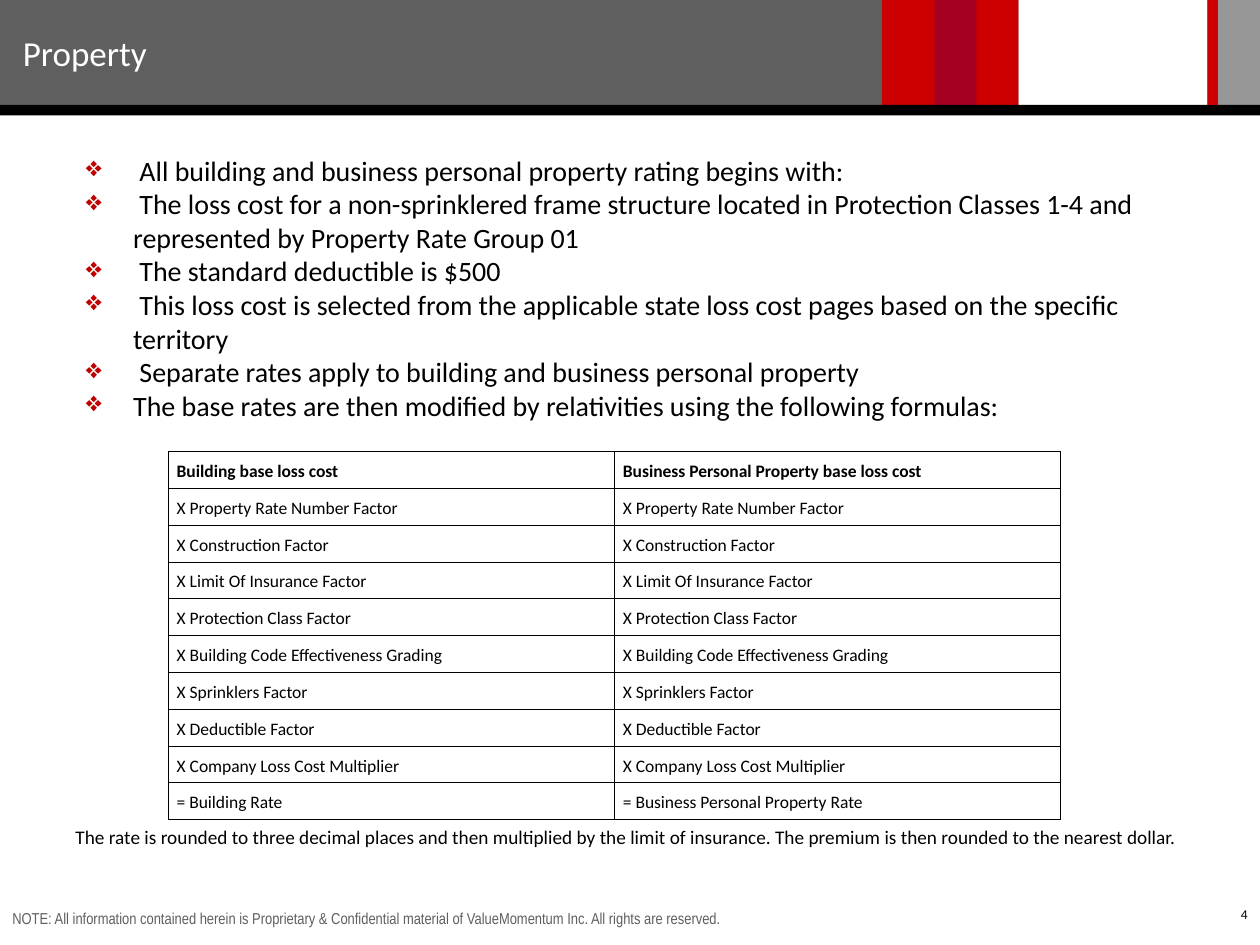
from lxml.etree import SubElement
from pptx import Presentation
from pptx.dml.color import RGBColor
from pptx.enum.shapes import MSO_SHAPE
from pptx.enum.text import MSO_ANCHOR, PP_ALIGN
from pptx.oxml.ns import qn
from pptx.util import Pt

COLORS = {
    "black": "000000", "white": "FFFFFF", "slate": "5F5F5F", "gray": "969696",
    "red": "CC0000", "crimson": "A50021", "bullet": "C00000",
}
POINTS = [
    " All building and business personal property rating begins with:",
    " The loss cost for a non-sprinklered frame structure located in Protection "
    "Classes 1-4 and represented by Property Rate Group 01",
    " The standard deductible is $500",
    " This loss cost is selected from the applicable state loss cost pages based "
    "on the specific territory",
    " Separate rates apply to building and business personal property",
    "The base rates are then modified by relativities using the following formulas:",
]
FACTORS = [
    "Property Rate Number Factor", "Construction Factor", "Limit Of Insurance Factor",
    "Protection Class Factor", "Building Code Effectiveness Grading",
    "Sprinklers Factor", "Deductible Factor", "Company Loss Cost Multiplier",
]
FORMULAS = [
    ("Building base loss cost", "Business Personal Property base loss cost"),
    *[(f"X {factor}", f"X {factor}") for factor in FACTORS],
    ("= Building Rate", "= Business Personal Property Rate"),
]


def color(name):
    return RGBColor.from_string(COLORS[name])


def style(para, size, name="black", face="Calibri", bold=False):
    for span in para.runs:
        span.font.size = Pt(size)
        span.font.name = face
        span.font.bold = bold
        span.font.color.rgb = color(name)


def add_text(page, left, top, width, height, text, size, name="black", face="Calibri"):
    box = page.shapes.add_textbox(Pt(left), Pt(top), Pt(width), Pt(height))
    frame = box.text_frame
    frame.word_wrap = True
    frame.text = text
    for para in frame.paragraphs:
        style(para, size, name, face)
    return frame


def add_header(page, left, top, width, height):
    bar_height = height - 6
    # Bars from back to front: offset, drop, width, height, fill
    bars = [
        (0, 0, 582, bar_height, "slate"),
        (504, 0, 78, bar_height, "red"),
        (690, 0, 30, bar_height, "gray"),
        (534, 0, 24, bar_height, "crimson"),
        (0, bar_height, width, 6, "black"),
        (690, 0, 6, bar_height, "red"),
    ]
    for offset, drop, bar_width, tall, fill in bars:
        bar = page.shapes.add_shape(MSO_SHAPE.RECTANGLE, Pt(left + offset),
                                    Pt(top + drop), Pt(bar_width), Pt(tall))
        bar.shadow.inherit = False
        bar.fill.solid()
        bar.fill.fore_color.rgb = color(fill)
        bar.line.fill.background()
    # Title
    title = add_text(page, left + 6, top + 14.4, 462, 31.5, "Property", 20, "white")
    title.vertical_anchor = MSO_ANCHOR.MIDDLE


def add_bullets(page, left, top, width, height):
    frame = add_text(page, left, top, width, height, "\n".join(POINTS), 16)
    for para in frame.paragraphs:
        properties = para._p.get_or_add_pPr()
        properties.set("marL", str(Pt(27)))
        properties.set("indent", str(Pt(-27)))
        bullet_color = SubElement(properties, qn("a:buClr"))
        SubElement(bullet_color, qn("a:srgbClr"), val=COLORS["bullet"])
        SubElement(properties, qn("a:buChar"), char="❖")


def add_borders(cell):
    properties = cell._tc.get_or_add_tcPr()
    for position, side in enumerate(("lnL", "lnR", "lnT", "lnB")):
        line = SubElement(properties, qn(f"a:{side}"), w=str(Pt(0.45)))
        fill = SubElement(line, qn("a:solidFill"))
        SubElement(fill, qn("a:srgbClr"), val=COLORS["black"])
        properties.insert(position, line)


def add_formulas(page, left, top, width, height):
    table = page.shapes.add_table(len(FORMULAS), 2, Pt(left), Pt(top),
                                  Pt(width), Pt(height)).table
    for row, texts in enumerate(FORMULAS):
        table.rows[row].height = Pt(height / len(FORMULAS))
        for column, text in enumerate(texts):
            cell = table.cell(row, column)
            cell.fill.background()
            cell.margin_left = cell.margin_right = Pt(5)
            add_borders(cell)
            cell.text_frame.text = text
            para = cell.text_frame.paragraphs[0]
            para.line_spacing = 1.15
            style(para, 10, bold=row == 0)


def add_footer(page, left, top, width, height):
    add_text(page, left, top, 714, height,
             "NOTE: All information contained herein is Proprietary & Confidential "
             "material of ValueMomentum Inc. All rights are reserved.",
             9, "slate", "Arial Narrow")
    # Page number
    number = add_text(page, left + width - 174, top, 174, height, "4", 7.7)
    number.paragraphs[0].alignment = PP_ALIGN.RIGHT
    number.paragraphs[0].line_spacing = 0.8


def main():
    deck = Presentation()
    deck.slide_width, deck.slide_height = Pt(720), Pt(540)
    page = deck.slides.add_slide(deck.slide_layouts[6])
    add_header(page, 0, 0, 720, 66)
    add_bullets(page, 42, 84, 636, 237.6)
    add_formulas(page, 96, 258, 510, 192)
    # Rounding rule under the table
    add_text(page, 36, 468, 660, 21,
             "The rate is rounded to three decimal places and then multiplied by the "
             "limit of insurance. The premium is then rounded to the nearest dollar.", 11)
    add_footer(page, 0, 516, 720, 18)
    deck.save("out.pptx")


if __name__ == "__main__":
    main()
